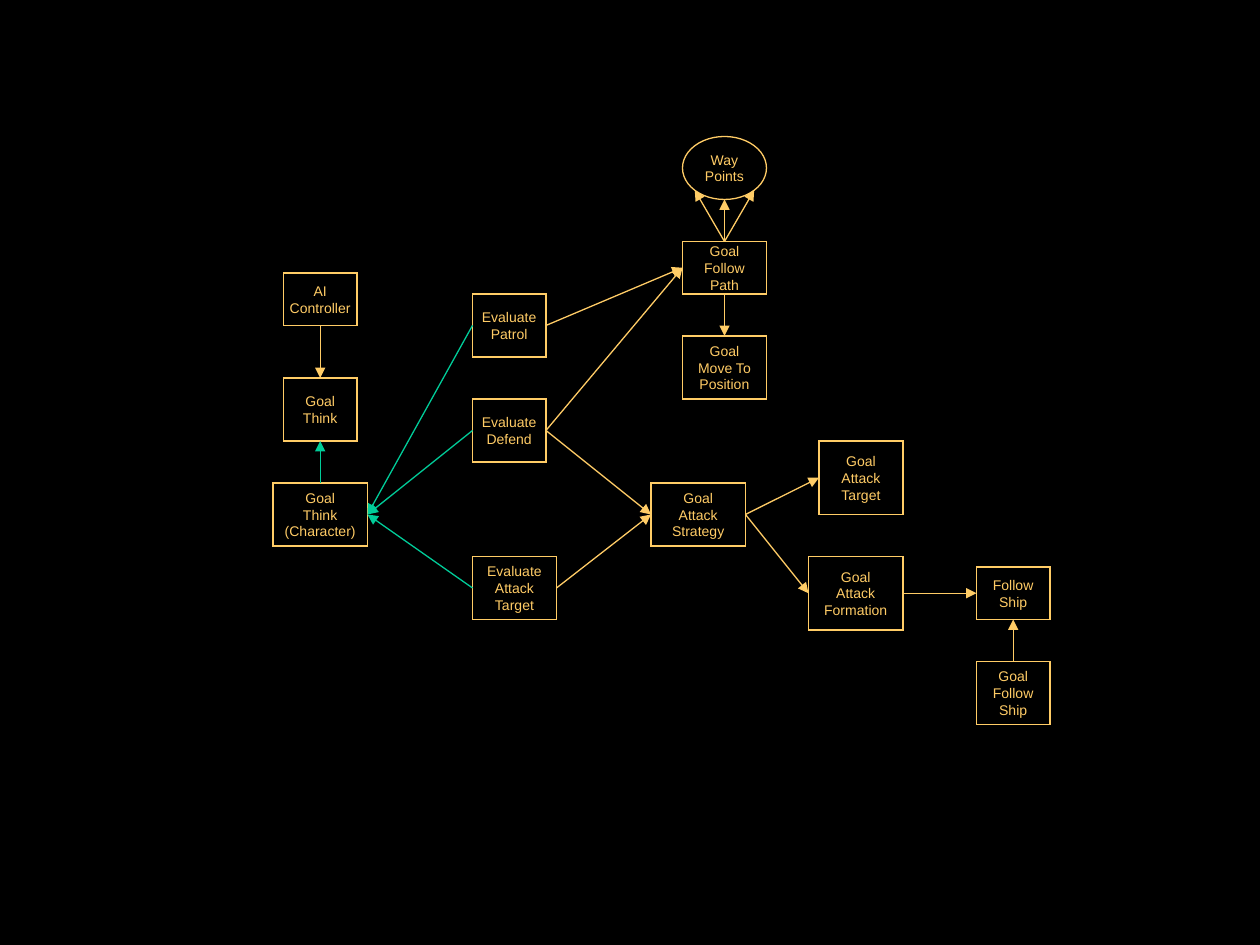
from math import cos, radians, sin

from pptx import Presentation
from pptx import util as u
from pptx.dml.color import RGBColor
from pptx.enum import shapes, text
from pptx.oxml.ns import qn
from lxml import etree

GOLD, GREEN, BLACK = "FFCC66", "00CC99", "000000"
TOP, LEFT, BOTTOM, RIGHT = range(4)  # connection sites of a rectangle
CELLS_PER_INCH = 12


def cells(count):
    return u.Inches(count / CELLS_PER_INCH)


def rgb(value):
    return RGBColor.from_string(value)


class Diagram:
    """Draws boxes and arrows on a grid of twelve cells to the inch."""

    font, font_size, line_width = "Arial", u.Pt(8), u.Pt(0.75)

    def __init__(self, slide):
        self.slide = slide
        self.slide.background.fill.solid()
        self.slide.background.fill.fore_color.rgb = rgb(BLACK)

    def style_line(self, shape, color):
        """Colours the outline, gives it sharp corners and returns its XML."""
        shape.line.color.rgb = rgb(color)
        shape.line.width = self.line_width
        outline = shape._element.spPr.find(qn("a:ln"))
        etree.SubElement(outline, qn("a:miter")).set("lim", "800000")
        return outline

    def box(self, label, left, top, width, height, kind=shapes.MSO_SHAPE.RECTANGLE):
        shape = self.slide.shapes.add_shape(kind, *map(cells, (left, top, width, height)))
        shape.shadow.inherit = False
        shape.fill.background()
        self.style_line(shape, GOLD)
        frame = shape.text_frame
        frame.text = label
        frame.word_wrap = False
        frame.vertical_anchor = text.MSO_ANCHOR.MIDDLE
        for paragraph in frame.paragraphs:
            paragraph.alignment = text.PP_ALIGN.CENTER
            font = paragraph.runs[0].font
            font.name, font.size = self.font, self.font_size
            font.color.rgb = rgb(GOLD)
        return shape

    def arrow_to_point(self, start, start_side, x, y, color=GOLD):
        connector = self.slide.shapes.add_connector(
            shapes.MSO_CONNECTOR.STRAIGHT, start.left, start.top, x, y)
        connector.begin_connect(start, start_side)
        outline = self.style_line(connector, color)
        etree.SubElement(outline, qn("a:tailEnd")).set("type", "triangle")
        etree.SubElement(connector._element.spPr, qn("a:effectLst"))
        return connector

    def arrow(self, start, start_side, end, end_side, color=GOLD):
        connector = self.arrow_to_point(start, start_side, end.left, end.top, color)
        connector.end_connect(end, end_side)

    def arrow_to_rim(self, start, start_side, ellipse, degrees):
        """Points at an ellipse's rim; degrees run clockwise from the right."""
        angle = radians(degrees)
        x = ellipse.left + ellipse.width / 2 * (1 + cos(angle))
        y = ellipse.top + ellipse.height / 2 * (1 + sin(angle))
        self.arrow_to_point(start, start_side, round(x), round(y))


def main():
    presentation = Presentation()
    presentation.slide_width, presentation.slide_height = u.Inches(10), u.Inches(7.5)
    diagram = Diagram(presentation.slides.add_slide(presentation.slide_layouts[6]))
    box, arrow = diagram.box, diagram.arrow

    controller = box("AI\nController", 27, 26, 7, 5)
    think = box("Goal\nThink", 27, 36, 7, 6)
    character = box("Goal\nThink\n(Character)", 26, 46, 9, 6)
    patrol = box("Evaluate\nPatrol", 45, 28, 7, 6)
    defend = box("Evaluate\nDefend", 45, 38, 7, 6)
    attack = box("Evaluate\nAttack\nTarget", 45, 53, 8, 6)
    way_points = box("Way\nPoints", 65, 13, 8, 6, shapes.MSO_SHAPE.OVAL)
    follow_path = box("Goal\nFollow\nPath", 65, 23, 8, 5)
    move = box("Goal\nMove To\nPosition", 65, 32, 8, 6)
    strategy = box("Goal\nAttack\nStrategy", 62, 46, 9, 6)
    target = box("Goal\nAttack\nTarget", 78, 42, 8, 7)
    formation = box("Goal\nAttack\nFormation", 77, 53, 9, 7)
    follow_ship = box("Follow\nShip", 93, 54, 7, 5)
    goal_follow_ship = box("Goal\nFollow\nShip", 93, 63, 7, 6)

    for degrees in (45, 90, 135):
        diagram.arrow_to_rim(follow_path, TOP, way_points, degrees)

    for start, end in ((controller, think), (follow_path, move)):
        arrow(start, BOTTOM, end, TOP)
    arrow(goal_follow_ship, TOP, follow_ship, BOTTOM)
    arrow(character, TOP, think, BOTTOM, GREEN)

    for evaluator in (patrol, defend, attack):
        arrow(evaluator, LEFT, character, RIGHT, GREEN)

    for start, end in (
        (patrol, follow_path), (defend, follow_path),
        (defend, strategy), (attack, strategy),
        (strategy, target), (strategy, formation),
        (formation, follow_ship),
    ):
        arrow(start, RIGHT, end, LEFT)

    presentation.save("out.pptx")


if __name__ == "__main__":
    main()
